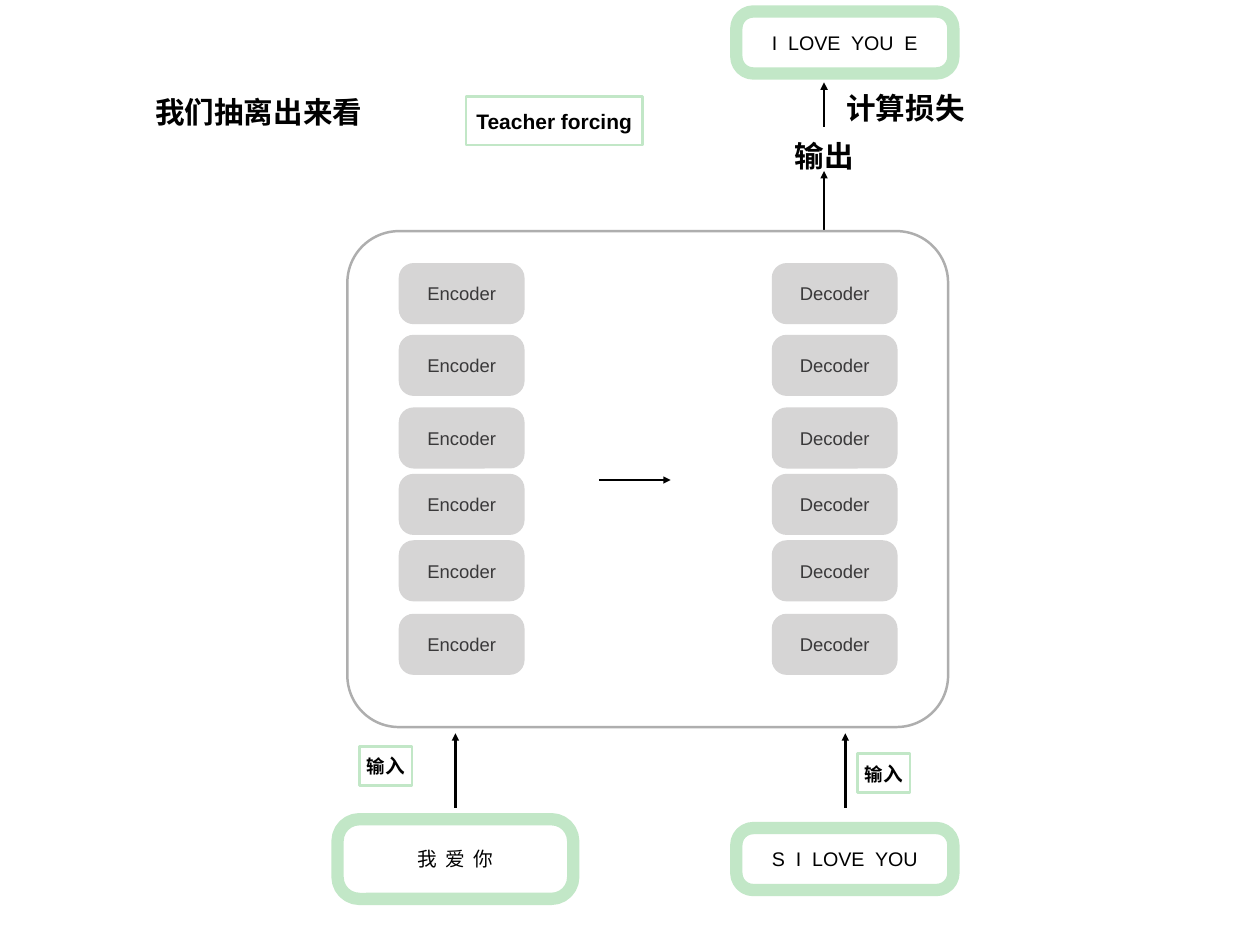
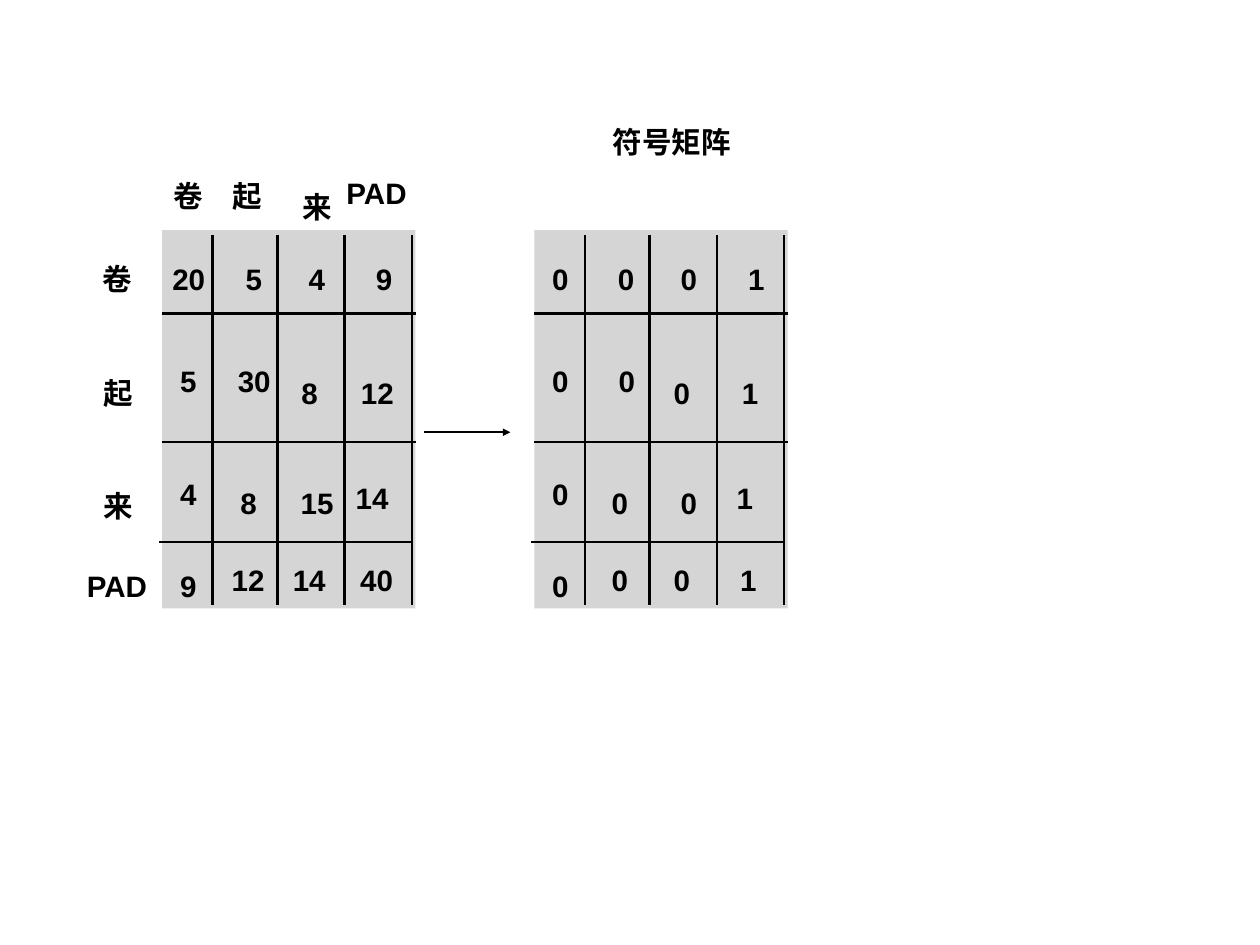
from typing import NamedTuple, Optional, Sequence, Union

from lxml.etree import SubElement
from pptx import Presentation
from pptx.dml.color import RGBColor
from pptx.enum.shapes import MSO_CONNECTOR, MSO_SHAPE
from pptx.enum.text import MSO_ANCHOR, MSO_AUTO_SIZE, PP_ALIGN
from pptx.oxml.ns import qn
from pptx.util import Inches, Pt

# Shared look
FONT = "Arial"
BLACK = RGBColor(0x00, 0x00, 0x00)
WHITE = RGBColor(0xFF, 0xFF, 0xFF)
GREEN = RGBColor(0xC2, 0xE7, 0xC7)
LIGHT_GRAY = RGBColor(0xD6, 0xD5, 0xD5)
FRAME_GRAY = RGBColor(0xAE, 0xAE, 0xAE)
DARK_GRAY = RGBColor(0x3A, 0x39, 0x3A)
INSET = Inches(0.06)
LINE_WIDTH = 2


class Box(NamedTuple):
    left: float
    top: float
    width: float
    height: float

    def lengths(self) -> list:
        return [Inches(value) for value in self]


class Run(NamedTuple):
    text: str
    size: float


class Spot(NamedTuple):
    """Centre across and top of one text."""
    center: float
    top: float


class Label(NamedTuple):
    text: str
    spot: Spot


# Encoder and decoder slide
STACK_TOPS = (2.97, 3.78, 4.6, 5.35, 6.1, 6.93)
STACKS = {"Encoder": 4.5, "Decoder": 8.71}
SENTENCES = {
    "我  爱  你": Box(3.81, 9.25, 2.66, 0.9),
    "I  LOVE  YOU  E": Box(8.31, 0.13, 2.45, 0.7),
    "S  I  LOVE  YOU": Box(8.31, 9.35, 2.45, 0.7),
}
INPUT_RUNS = (Run("输", 15), Run("入", 16))
INPUT_BOXES = (Box(4.06, 8.43, 0.59, 0.44), Box(9.68, 8.51, 0.59, 0.44))

# Matrix slide: places relative to the left edge of a matrix
MATRIX_TOP, MATRIX_WIDTH, MATRIX_HEIGHT = 2.6, 2.86, 4.27
COLUMN_LINES = (0.57, 1.3, 2.06, 2.82)
ROW_LINES = {3.54: 0, 4.99: 0, 6.12: -0.04}  # height: sideways shift
CELL_SPOTS = (
    (Spot(0.3, 2.9), Spot(1.03, 2.9), Spot(1.74, 2.9), Spot(2.51, 2.9)),
    (Spot(0.3, 4.05), Spot(1.04, 4.05), Spot(1.66, 4.18), Spot(2.43, 4.18)),
    (Spot(0.29, 5.32), Spot(0.97, 5.43), Spot(1.75, 5.43), Spot(2.37, 5.37)),
    (Spot(0.3, 6.36), Spot(0.97, 6.3), Spot(1.66, 6.3), Spot(2.42, 6.3)),
)
SCORES = ((20, 5, 4, 9), (5, 30, 8, 12), (4, 8, 15, 14), (9, 12, 14, 40))
SIGNS = ((0, 0, 0, 1),) * 4
HEADINGS = (
    Label("卷", Spot(1.32, 2.86)),
    Label("起", Spot(1.33, 4.15)),
    Label("来", Spot(1.34, 5.43)),
    Label("PAD", Spot(1.32, 6.36)),
    Label("卷", Spot(2.12, 1.93)),
    Label("起", Spot(2.79, 1.93)),
    Label("来", Spot(3.58, 2.05)),
    Label("PAD", Spot(4.25, 1.93)),
)


def write_text(shape, text: Union[str, Sequence[Run]], *, size: float = 24,
               color: RGBColor = BLACK, bold: bool = True,
               wrap: bool = True) -> None:
    frame = shape.text_frame
    frame.word_wrap = wrap
    frame.vertical_anchor = MSO_ANCHOR.MIDDLE
    frame.margin_left = frame.margin_right = INSET
    frame.margin_top = frame.margin_bottom = INSET
    paragraph = frame.paragraphs[0]
    paragraph.alignment = PP_ALIGN.CENTER
    for part in (Run(text, size),) if isinstance(text, str) else text:
        run = paragraph.add_run()
        run.text = part.text
        run.font.name = FONT
        run.font.size = Pt(part.size)
        run.font.bold = bold
        run.font.color.rgb = color


def add_label(shapes, text: str, box: Box) -> None:
    shape = shapes.add_textbox(*box.lengths())
    write_text(shape, text, wrap=False)
    shape.text_frame.auto_size = MSO_AUTO_SIZE.SHAPE_TO_FIT_TEXT


def add_centered_label(shapes, text: str, spot: Spot) -> None:
    if text.isascii():
        width, height = {1: 0.31, 2: 0.5, 3: 0.8}[len(text)], 0.5
    else:
        width, height = 0.46, 0.57
    add_label(shapes, text,
              Box(round(spot.center - width / 2, 2), spot.top, width, height))


def add_box(shapes, box: Box, *, corner: Optional[float] = None,
            fill: Optional[RGBColor] = None, line: Optional[RGBColor] = None,
            line_width: float = LINE_WIDTH):
    kind = MSO_SHAPE.RECTANGLE if corner is None else MSO_SHAPE.ROUNDED_RECTANGLE
    shape = shapes.add_shape(kind, *box.lengths())
    shape.shadow.inherit = False
    if corner is not None:
        shape.adjustments[0] = corner
    if fill is None:
        shape.fill.background()
    else:
        shape.fill.solid()
        shape.fill.fore_color.rgb = fill
    if line is None:
        shape.line.fill.background()
    else:
        shape.line.color.rgb = line
        shape.line.width = Pt(line_width)
    return shape


def add_line(shapes, start: tuple[float, float], end: tuple[float, float],
             *, arrow: bool = False) -> None:
    connector = shapes.add_connector(
        MSO_CONNECTOR.STRAIGHT, *(Inches(value) for value in start + end))
    connector.line.color.rgb = BLACK
    connector.line.width = Pt(LINE_WIDTH)
    if arrow:
        SubElement(connector.line._get_or_add_ln(), qn("a:tailEnd"), type="triangle")
    SubElement(connector._element.spPr, qn("a:effectLst"))


def add_model(slide) -> None:
    shapes = slide.shapes.add_group_shape().shapes
    add_box(shapes, Box(3.92, 2.61, 6.78, 5.6), corner=0.104,
            fill=WHITE, line=FRAME_GRAY)
    for name, left in STACKS.items():
        for top in STACK_TOPS:
            layer = add_box(shapes, Box(left, top, 1.42, 0.69),
                            corner=0.242, fill=LIGHT_GRAY)
            write_text(layer, name, size=15, color=DARK_GRAY, bold=False)
    add_line(shapes, (6.76, 5.42), (7.57, 5.42), arrow=True)


def build_model_slide(slide) -> None:
    shapes = slide.shapes
    add_label(shapes, "我们抽离出来看", Box(1.69, 0.98, 2.46, 0.57))

    # Output arrow starts behind the model frame
    add_line(shapes, (9.3, 2.77), (9.3, 1.93), arrow=True)
    add_model(slide)

    # Sentences going in and coming out
    for sentence, box in SENTENCES.items():
        shape = add_box(shapes, box, corner=0.273, fill=WHITE,
                        line=GREEN, line_width=10)
        write_text(shape, sentence, size=16, bold=False)
    for box in INPUT_BOXES:
        write_text(add_box(shapes, box, line=GREEN), INPUT_RUNS)
    for center in (5.14, 9.54):
        add_line(shapes, (center, 9.12), (center, 8.28), arrow=True)

    # Output, loss and training method
    method = add_box(shapes, Box(5.26, 1.09, 1.99, 0.55), line=GREEN)
    write_text(method, "Teacher forcing", size=17)
    add_label(shapes, "输出", Box(8.36, 1.47, 1.88, 0.57))
    add_line(shapes, (9.3, 1.43), (9.3, 0.93), arrow=True)
    add_label(shapes, "计算损失", Box(9.49, 0.93, 1.46, 0.57))


def add_matrix(shapes, left: float, values: Sequence[Sequence[int]]) -> None:
    add_box(shapes, Box(left, MATRIX_TOP, MATRIX_WIDTH, MATRIX_HEIGHT),
            fill=LIGHT_GRAY)
    for offset in COLUMN_LINES:
        add_line(shapes, (left + offset, 6.83), (left + offset, 2.65))
    for height, shift in ROW_LINES.items():
        start = left + shift
        add_line(shapes, (start + MATRIX_WIDTH, height), (start, height))
    for row, spots in zip(values, CELL_SPOTS):
        for value, spot in zip(row, spots):
            add_centered_label(shapes, str(value),
                               Spot(left + spot.center, spot.top))


def build_matrix_slide(slide) -> None:
    shapes = slide.shapes
    add_matrix(shapes, 1.83, SCORES)
    for heading in HEADINGS:
        add_centered_label(shapes, heading.text, heading.spot)

    # Sign matrix
    add_line(shapes, (4.79, 4.88), (5.76, 4.88), arrow=True)
    add_matrix(shapes, 6.03, SIGNS)
    add_label(shapes, "符号矩阵", Box(6.85, 1.31, 1.46, 0.57))


def main() -> None:
    presentation = Presentation()
    presentation.slide_width = Inches(14.22)
    presentation.slide_height = Inches(10.67)
    blank = presentation.slide_layouts[6]
    for build in (build_model_slide, build_matrix_slide):
        build(presentation.slides.add_slide(blank))
    presentation.save("out.pptx")


if __name__ == "__main__":
    main()
